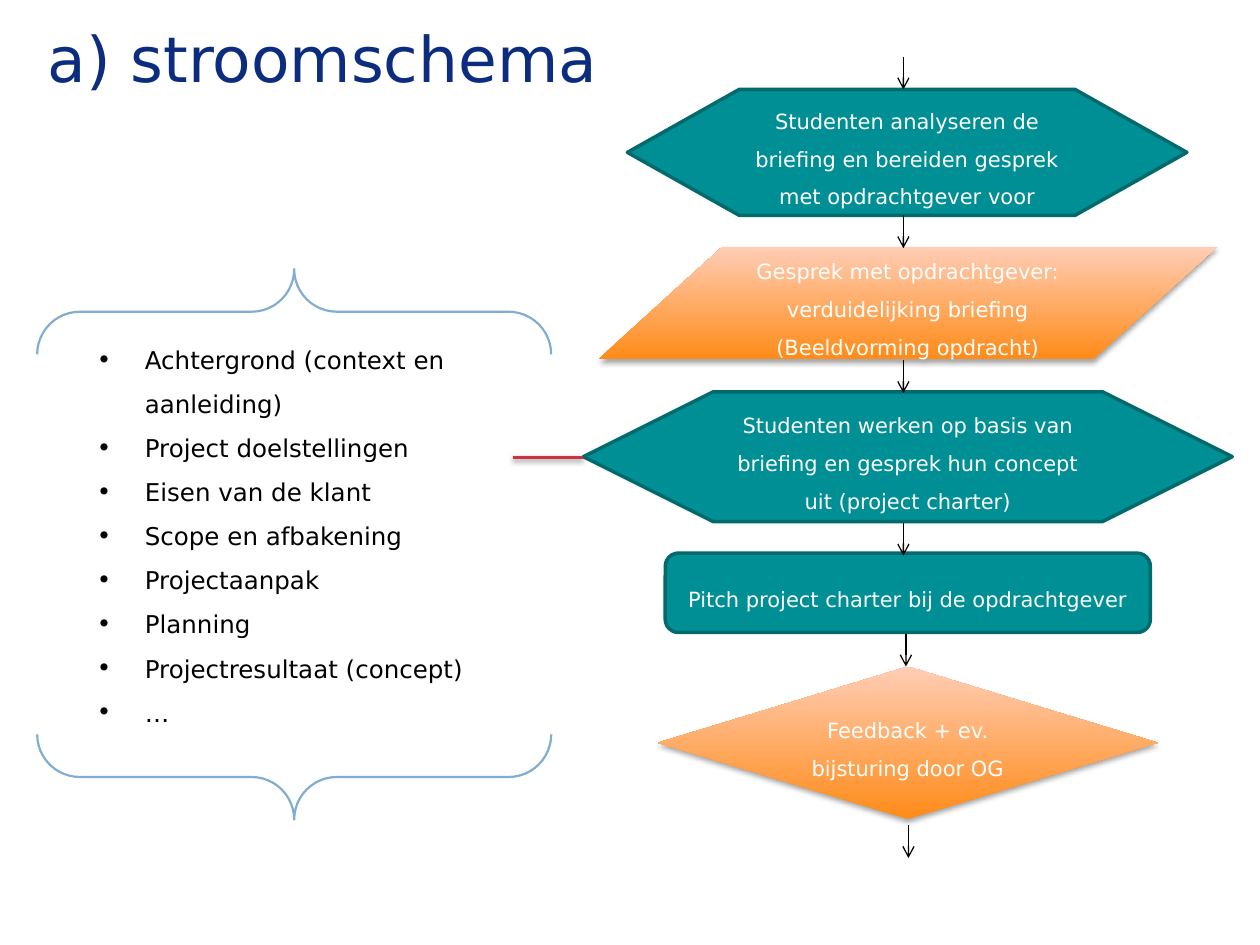
import pptx
import pptx.util
import pptx.dml.color
import pptx.enum.shapes
import pptx.enum.text
import pptx.oxml
import pptx.oxml.ns
from lxml import etree

Inches, Pt = pptx.util.Inches, pptx.util.Pt
SHAPE = pptx.enum.shapes.MSO_SHAPE
ALIGN = pptx.enum.text.PP_ALIGN
ANCHOR = pptx.enum.text.MSO_ANCHOR
qn = pptx.oxml.ns.qn

TEAL, TEAL_EDGE, WHITE, BLACK = "008F94", "006A6D", "FFFFFF", "000000"
GRADIENT = ("FF8B18", "FFCDB6")


def rgb(value):
    return pptx.dml.color.RGBColor.from_string(value)


def apply(target, values):
    for name, value in values.items():
        setattr(target, name, value)


class FlowSlide:
    font = "DejaVu Sans"

    def __init__(self, slide):
        self.s = slide

    def effects(self, sp, alpha=0, dist=0):
        """Replace the theme shadow: none at alpha 0, else a soft one below."""
        spPr = sp._element.spPr
        for old in spPr.findall(qn("a:effectLst")):
            spPr.remove(old)
        lst = etree.SubElement(spPr, qn("a:effectLst"))
        if alpha:
            shadow = etree.SubElement(
                lst, qn("a:outerShdw"), blurRad=str(Pt(3.1)), dist=str(Pt(dist)),
                dir="5400000", rotWithShape="0")
            color = etree.SubElement(shadow, qn("a:srgbClr"), val=BLACK)
            etree.SubElement(color, qn("a:alpha"), val=str(alpha * 1000))

    def set_text(self, sp, paragraphs, size, color, spacing=1.5, align=ALIGN.CENTER,
                 anchor=ANCHOR.MIDDLE, bullet_indent=None, inset=None):
        tf = sp.text_frame
        apply(tf, {"word_wrap": True, "vertical_anchor": anchor})
        if inset is not None:
            apply(tf, dict.fromkeys(("margin_left", "margin_top", "margin_right",
                                     "margin_bottom"), Inches(inset)))
        for i, text in enumerate(paragraphs):
            p = tf.add_paragraph() if i else tf.paragraphs[0]
            apply(p, {"alignment": align, "line_spacing": spacing})
            r = p.add_run()
            r.text = text
            apply(r.font, {"name": self.font, "size": Pt(size)})
            r.font.color.rgb = rgb(color)
            if bullet_indent:
                pPr = p._p.get_or_add_pPr()
                pPr.set("marL", str(Inches(bullet_indent)))
                pPr.set("indent", str(-Inches(bullet_indent)))
                etree.SubElement(pPr, qn("a:buFont"), typeface=self.font)
                etree.SubElement(pPr, qn("a:buChar"), char="•")

    def text(self, box, paragraphs, size, color, **style):
        sp = self.s.shapes.add_textbox(*map(Inches, box))
        self.set_text(sp, paragraphs, size, color, **style)

    def outlined(self, kind, box, fill, edge, width):
        sp = self.s.shapes.add_shape(kind, *map(Inches, box))
        sp.shadow.inherit = False
        sp.fill.solid()
        sp.fill.fore_color.rgb = rgb(fill)
        sp.line.color.rgb = rgb(edge)
        sp.line.width = Pt(width)
        return sp

    def student_step(self, kind, box, paragraphs):
        sp = self.outlined(kind, box, TEAL, TEAL_EDGE, 2)
        self.set_text(sp, paragraphs, 12, WHITE)

    def client_step(self, kind, box, paragraphs):
        sp = self.s.shapes.add_shape(kind, *map(Inches, box))
        sp.fill.gradient()
        sp.fill.gradient_angle = 90
        for stop, color in zip(sp.fill.gradient_stops, GRADIENT):
            stop.color.rgb = rgb(color)
        sp.line.fill.background()
        self.effects(sp, 35, 1.8)
        self.set_text(sp, paragraphs, 12, WHITE)

    def braces(self, box):
        sp = self.outlined(SHAPE.DOUBLE_BRACE, box, WHITE, "82ACD0", 1.25)
        sp.rotation = 270
        sp.adjustments[0] = 0.083

    def line(self, start, end, color, width):
        c = self.s.shapes.add_connector(
            pptx.enum.shapes.MSO_CONNECTOR.STRAIGHT, *map(Inches, start + end))
        c.line.color.rgb = rgb(color)
        c.line.width = Pt(width)
        self.effects(c)
        return c

    def down_arrow(self, x, y, length=0.26):
        c = self.line((x, y), (x, y + length), BLACK, 0.75)
        ln = c._element.spPr.find(qn("a:ln"))
        etree.SubElement(ln, qn("a:tailEnd"), type="arrow")


def main():
    prs = pptx.Presentation()
    apply(prs, {"slide_width": Inches(10), "slide_height": Inches(7.5)})
    flow = FlowSlide(prs.slides.add_slide(prs.slide_layouts[6]))

    flow.client_step(SHAPE.FLOWCHART_DATA, (4.75, 1.96, 4.91, 0.89),
                     ["Gesprek met opdrachtgever: verduidelijking briefing",
                      "(Beeldvorming opdracht)"])
    flow.student_step(SHAPE.ROUNDED_RECTANGLE, (5.28, 4.39, 3.85, 0.63),
                      ["Pitch project charter bij de opdrachtgever"])
    flow.student_step(SHAPE.FLOWCHART_PREPARATION, (4.63, 3.11, 5.15, 1.03),
                      ["Studenten werken op basis van briefing en gesprek "
                       "hun concept uit (project charter)"])
    flow.student_step(SHAPE.FLOWCHART_PREPARATION, (4.98, 0.71, 4.44, 1),
                      ["Studenten analyseren de briefing en bereiden gesprek "
                       "met opdrachtgever voor"])
    flow.client_step(SHAPE.FLOWCHART_DECISION, (5.22, 5.29, 3.97, 1.21),
                     ["Feedback + ev. bijsturing door OG"])

    flow.braces((0.15, 2.28, 4.37, 4.08))
    flow.text((0.73, 2.58, 3.2, 3.25),
              ["Achtergrond (context en aanleiding)", "Project doelstellingen",
               "Eisen van de klant", "Scope en afbakening", "Projectaanpak",
               "Planning", "Projectresultaat (concept)", "…"],
              14, BLACK, align=ALIGN.LEFT, anchor=ANCHOR.TOP,
              bullet_indent=0.38, inset=0.04)

    for x, y in ((7.17, 0.45), (7.17, 1.71), (7.17, 2.86), (7.17, 4.15),
                 (7.19, 5.03), (7.21, 6.55)):
        flow.down_arrow(x, y)

    flow.text((0.28, -0.17, 9, 1.25), ["a) stroomschema"], 36, "0C2C80",
              spacing=1, align=ALIGN.LEFT)
    charter_link = flow.line((4.63, 3.63), (4.07, 3.63), "CA333F", 2)
    flow.effects(charter_link, 38, 1.6)
    prs.save("out.pptx")


if __name__ == "__main__":
    main()
